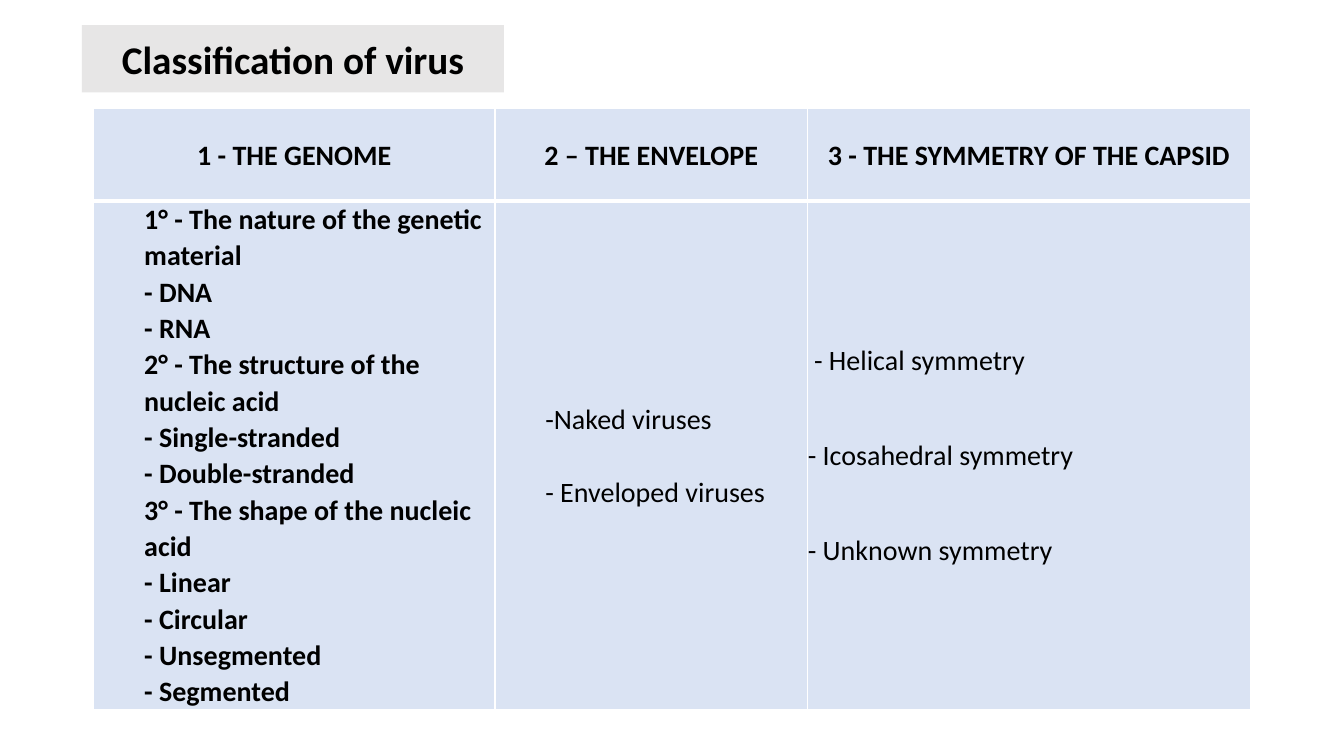
"""Build the slide on the classification of viruses."""
from lxml import etree
from pptx import Presentation
from pptx.dml.color import RGBColor
from pptx.enum import text
from pptx.oxml import ns
from pptx.util import Pt

BLACK = RGBColor(0x00, 0x00, 0x00)
WHITE = RGBColor(0xFF, 0xFF, 0xFF)
GREY = RGBColor(0xE7, 0xE6, 0xE6)
PALE_BLUE = RGBColor(0xDA, 0xE3, 0xF3)

HEADINGS = ["1 - THE GENOME", "2 – THE ENVELOPE", "3 - THE SYMMETRY OF THE CAPSID"]
GENOME = [
    "1° - The nature of the genetic material", "- DNA", "- RNA",
    "2° - The structure of the nucleic acid", "- Single-stranded", "- Double-stranded",
    "3° - The shape of the nucleic acid", "- Linear", "- Circular",
    "- Unsegmented", "- Segmented",
]
ENVELOPE = ["-Naked viruses", "- Enveloped viruses"]
SYMMETRY = ["- Helical symmetry", "- Icosahedral symmetry", "- Unknown symmetry"]


def apply(target, values):
    for name, value in values.items():
        setattr(target, name, value)


class SlideBuilder:
    def __init__(self, deck):
        self.slide = deck.slides.add_slide(deck.slide_layouts[5])
        self.font = {"name": "Calibri", "size": Pt(20), "bold": True}
        self.cell = {"vertical_anchor": text.MSO_ANCHOR.MIDDLE, "margin_left": 0,
                     "margin_top": 0, "margin_right": 0, "margin_bottom": 0}

    def add_lines(self, frame, lines, indents=(0,), gap=0, align=text.PP_ALIGN.LEFT,
                  spacing=1.06, **font):
        for i, line in enumerate(lines):
            paragraph = frame.add_paragraph() if i else frame.paragraphs[0]
            indent = indents[min(i, len(indents) - 1)]
            properties = paragraph._p.get_or_add_pPr()
            properties.set("marL", str(Pt(indent)))
            properties.set("indent", "0")
            apply(paragraph, {"alignment": align, "line_spacing": spacing,
                              "space_before": Pt(gap if i else 0), "space_after": Pt(0)})
            run = paragraph.add_run()
            run.text = line
            apply(run.font, {**self.font, **font})
            run.font.color.rgb = BLACK

    def title(self, wording, left, top, width, height):
        title = self.slide.shapes.title
        apply(title, {"left": Pt(left), "top": Pt(top),
                      "width": Pt(width), "height": Pt(height)})
        title.fill.solid()
        title.fill.fore_color.rgb = GREY
        apply(title.text_frame, {"vertical_anchor": text.MSO_ANCHOR.MIDDLE,
                                 "auto_size": text.MSO_AUTO_SIZE.NONE, "word_wrap": True})
        self.add_lines(title.text_frame, [wording], align=text.PP_ALIGN.CENTER,
                       spacing=1.0, size=Pt(28))

    def table(self, left, top, widths, heights):
        table = self.slide.shapes.add_table(
            len(heights), len(widths), Pt(left), Pt(top),
            Pt(sum(widths)), Pt(sum(heights))).table
        for column, width in zip(table.columns, widths):
            column.width = Pt(width)
        for row, height in zip(table.rows, heights):
            row.height = Pt(height)
        for r in range(len(heights)):
            for c in range(len(widths)):
                self.style_cell(table.cell(r, c), {"lnT": 3 if r else 1,
                                                   "lnB": 1 if r else 3})
        return table

    def style_cell(self, cell, edges):
        apply(cell, self.cell)
        cell.fill.solid()
        cell.fill.fore_color.rgb = PALE_BLUE
        properties = cell._tc.get_or_add_tcPr()
        for position, (tag, width) in enumerate({"lnL": 1, "lnR": 1, **edges}.items()):
            border = etree.Element(ns.qn(f"a:{tag}"), w=str(Pt(width)))
            fill = etree.SubElement(border, ns.qn("a:solidFill"))
            etree.SubElement(fill, ns.qn("a:srgbClr"), val=str(WHITE))
            properties.insert(position, border)


def main():
    deck = Presentation()
    apply(deck, {"slide_width": Pt(960), "slide_height": Pt(540)})
    builder = SlideBuilder(deck)
    builder.title("Classification of virus", 58.5, 18, 301.5, 48)
    criteria = builder.table(67, 77.5, [286.5, 223.5, 316], [66, 356])
    for column, heading in enumerate(HEADINGS):
        builder.add_lines(criteria.cell(0, column).text_frame, [heading],
                          align=text.PP_ALIGN.CENTER)
    contents = [
        (GENOME, {"indents": (36,)}),
        (ENVELOPE, {"indents": (36,), "gap": 26, "bold": False}),
        (SYMMETRY, {"indents": (4.5, 0), "gap": 42, "bold": False}),
    ]
    for column, (lines, style) in enumerate(contents):
        builder.add_lines(criteria.cell(1, column).text_frame, lines, **style)
    deck.save("out.pptx")


if __name__ == "__main__":
    main()
